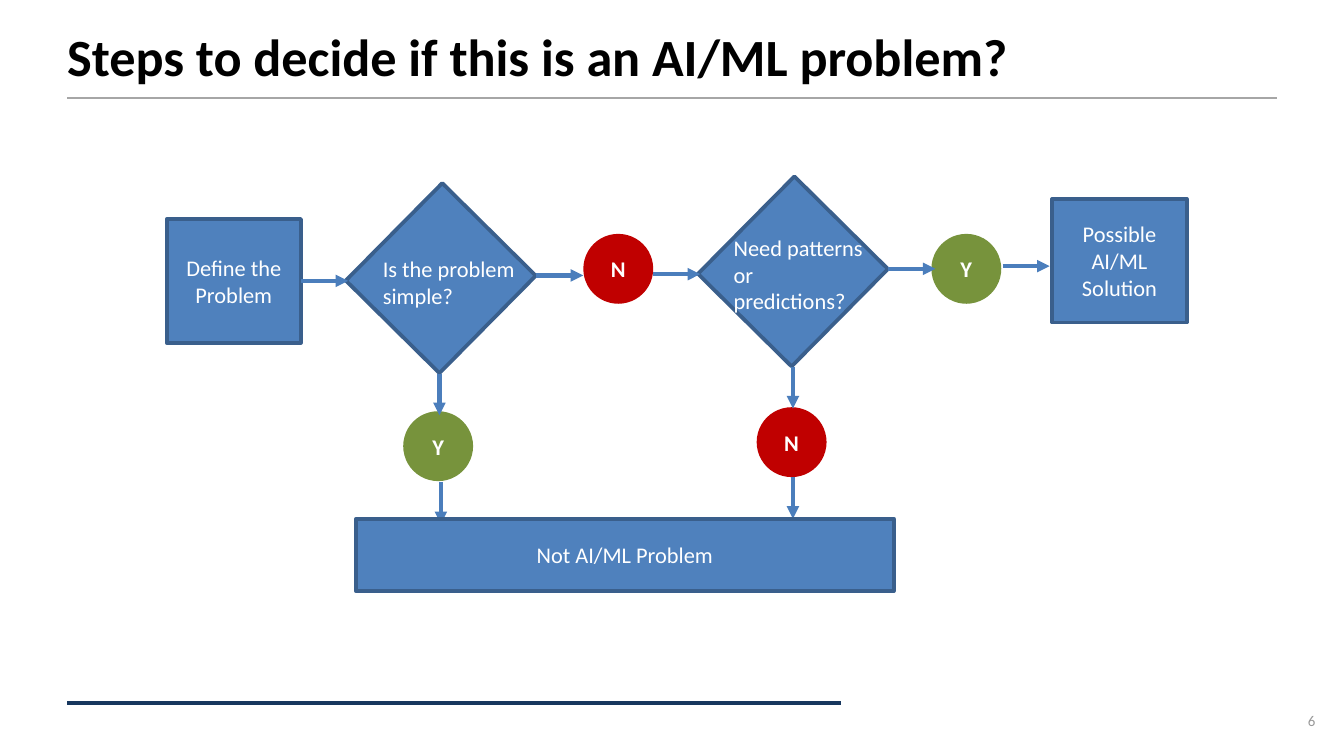
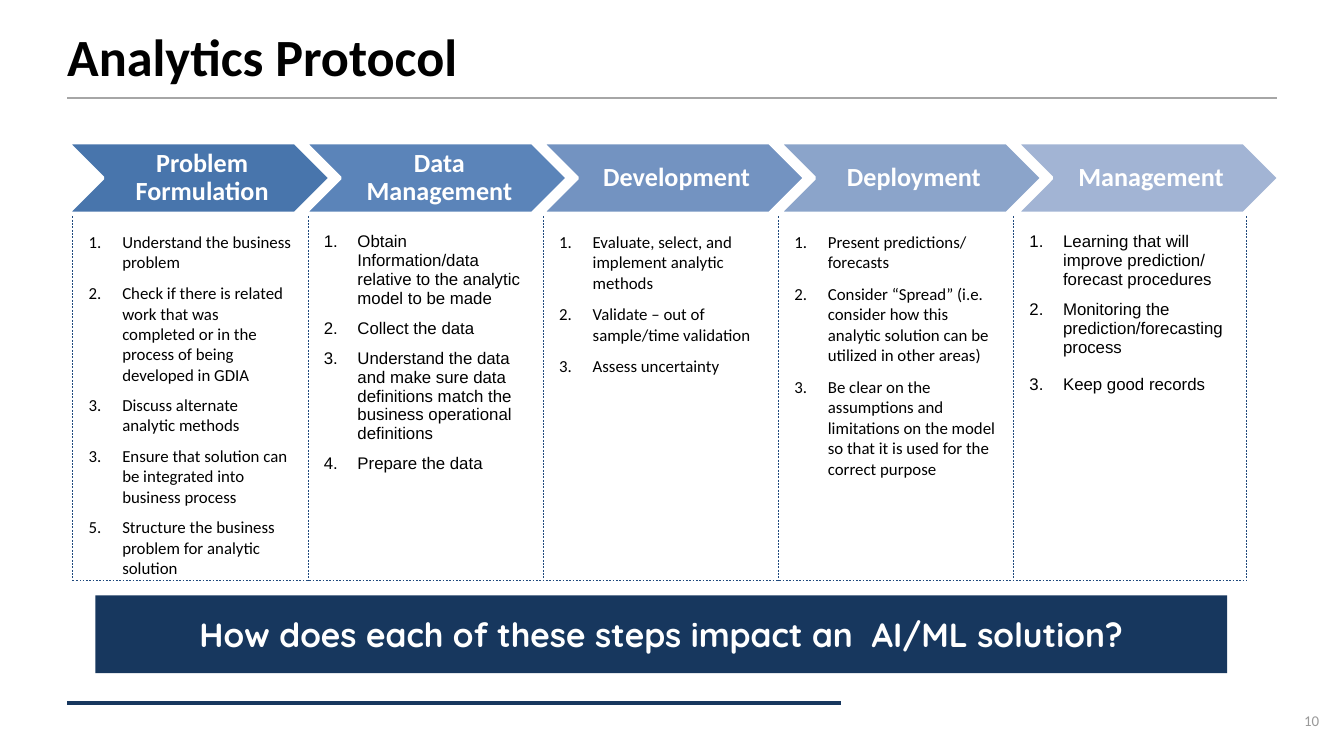
"""Build two slides: a decision flow for AI/ML problems and an analytics protocol."""
from pptx import Presentation
from pptx.dml.color import RGBColor
from pptx.enum.dml import MSO_LINE
from pptx.enum.shapes import MSO_CONNECTOR, MSO_SHAPE
from pptx.enum.text import MSO_ANCHOR, MSO_AUTO_SIZE, PP_ALIGN
from pptx.oxml.ns import qn
from pptx.util import Inches, Pt
from lxml.etree import SubElement

NAVY, WHITE, BLACK = "17375E", "FFFFFF", "000000"
BOX_FILL, BOX_EDGE, ARROW = "4F81BD", "3A5F8C", "4B7EBC"
RULE, PAGE_GREY, DIVIDER = "A6A6A6", "999999", "1F497D"
ANSWER_FILL = {"Y": "77933C", "N": "C00000"}
BODY_FONT = "Calibri"

CHEVRON_STEP = 7.06 / 4
GRID_LEFT, GRID_RIGHT, GRID_TOP, GRID_BOTTOM = 0.54, 9.27, 1.61, 4.32
COLUMN_STEP = 1.75

STAGES = [
    ("Problem Formulation", "4875AC", BODY_FONT, [
        (0.38, 1, ["Understand the business problem"]),
        (0.82, 2, ["Check if there is related work that was completed or in the "
                   "process of being developed in GDIA"]),
        (0.38, 3, ["Discuss alternate analytic methods"]),
        (0.53, 3, ["Ensure that solution can be integrated into business process"]),
        (0.68, 5, ["Structure the business problem for analytic solution"]),
        (0.23, 0, []),
        (0.23, 0, []),
    ]),
    ("Data Management", "5B84B9", "Arial", [
        (1.76, 1, ["Obtain Information/data relative to the analytic model to be made",
                   "Collect the data",
                   "Understand the data and make sure data definitions match the "
                   "business operational definitions",
                   "Prepare the data"]),
        (0.3, 0, []),
    ]),
    ("Development", "7393C1", BODY_FONT, [
        (1.45, 1, ["Evaluate, select, and  implement analytic methods",
                   "Validate – out of sample/time validation",
                   "Assess uncertainty"]),
    ]),
    ("Deployment", "8BA4CA", BODY_FONT, [
        (1.85, 1, ["Present predictions/ forecasts",
                   "Consider “Spread” (i.e. consider how this analytic solution can be "
                   "utilized in other areas)",
                   "Be clear on the assumptions and limitations on the model so that "
                   "it is used for the correct purpose"]),
    ]),
    ("Management", "A2B4D4", "Arial", [
        (1.04, 1, ["Learning that will improve prediction/ forecast procedures",
                   "Monitoring the prediction/forecasting process"]),
        (0.35, 3, ["Keep good records"]),
    ]),
]


def rgb(value):
    return RGBColor.from_string(value)


def box(*lengths):
    return [Inches(length) for length in lengths]


def style(paragraph, size, color, bold=False, font=BODY_FONT):
    paragraph.font.name = font
    paragraph.font.size = Pt(size)
    paragraph.font.bold = bold
    paragraph.font.color.rgb = rgb(color)


def set_margins(target, left, top, right, bottom):
    target.margin_left, target.margin_top = box(left, top)
    target.margin_right, target.margin_bottom = box(right, bottom)


def write(frame, text, size, color, bold=False, font=BODY_FONT,
          align=PP_ALIGN.CENTER, anchor=MSO_ANCHOR.MIDDLE):
    frame.word_wrap = True
    frame.vertical_anchor = anchor
    paragraph = frame.paragraphs[0]
    paragraph.text = text
    paragraph.alignment = align
    style(paragraph, size, color, bold, font)
    return paragraph


def add_label(slide, place, text, size, color, **options):
    frame = slide.shapes.add_textbox(*box(*place)).text_frame
    return frame, write(frame, text, size, color, **options)


def add_block(slide, kind, place, fill, edge=None):
    block = slide.shapes.add_shape(kind, *box(*place))
    block.shadow.inherit = False
    block.fill.solid()
    block.fill.fore_color.rgb = rgb(fill)
    if edge:
        block.line.color.rgb = rgb(edge)
        block.line.width = Pt(2)
    else:
        block.line.fill.background()
    return block


def add_line(slide, start, end, color, width, arrow=False, dashed=False):
    line = slide.shapes.add_connector(MSO_CONNECTOR.STRAIGHT, *box(*start, *end))
    line.line.color.rgb = rgb(color)
    line.line.width = Pt(width)
    if dashed:
        line.line.dash_style = MSO_LINE.DASH
    properties = line._element.spPr
    if arrow:
        SubElement(properties.find(qn("a:ln")), qn("a:tailEnd"), type="triangle")
    SubElement(properties, qn("a:effectLst"))


def add_framed_slide(deck, heading, number):
    slide = deck.slides.add_slide(deck.slide_layouts[5])
    title = slide.shapes.title
    title.left, title.top, title.width, title.height = box(0.5, 0.13, 9, 0.51)
    frame = title.text_frame
    frame.auto_size = MSO_AUTO_SIZE.NONE
    set_margins(frame, 0, 0.05, 0.1, 0.05)
    write(frame, heading, 28, BLACK, bold=True,
          align=PP_ALIGN.LEFT, anchor=MSO_ANCHOR.TOP)
    add_line(slide, (0.5, 0.73), (9.5, 0.73), RULE, 1)
    add_line(slide, (0.5, 5.23), (6.26, 5.23), NAVY, 2.25)
    page, _ = add_label(slide, (9.52, 5.16, 0.48, 0.4), number, 8, PAGE_GREY)
    set_margins(page, 0, 0, 0, 0)
    return slide


def add_step(slide, place, text):
    step = add_block(slide, MSO_SHAPE.RECTANGLE, place, BOX_FILL, BOX_EDGE)
    write(step.text_frame, text, 12, WHITE)


def add_decision(slide, left, top, question_place, question):
    decision = add_block(slide, MSO_SHAPE.RECTANGLE, (left, top, 0.98, 1.02),
                         BOX_FILL, BOX_EDGE)
    decision.rotation = 44.7
    add_label(slide, question_place, question, 12, WHITE,
              align=PP_ALIGN.LEFT, anchor=MSO_ANCHOR.TOP)


def add_answer(slide, left, top, letter):
    answer = add_block(slide, MSO_SHAPE.OVAL, (left, top, 0.52, 0.52),
                       ANSWER_FILL[letter])
    write(answer.text_frame, letter, 12, WHITE, bold=True)


def add_chevron(slide, index, text, fill):
    left = 0.5 + index * CHEVRON_STEP
    add_block(slide, MSO_SHAPE.CHEVRON, (left, 1.06, 1.96, 0.53), fill, WHITE)
    frame, paragraph = add_label(slide, (left + 0.27, 1.06, 1.43, 0.53),
                                 text, 14, WHITE, bold=True)
    set_margins(frame, 0.06, 0.02, 0.02, 0.02)
    paragraph.line_spacing = 0.9


def number_paragraph(paragraph, start):
    properties = paragraph._p.get_or_add_pPr()
    properties.set("marL", str(Inches(0.25)))
    properties.set("indent", str(-Inches(0.25)))
    SubElement(properties, qn("a:buFont"), typeface="+mj-lt")
    numbering = SubElement(properties, qn("a:buAutoNum"), type="arabicPeriod")
    if start > 1:
        numbering.set("startAt", str(start))


def fill_cell(cell, start, items, font):
    cell.fill.background()
    set_margins(cell, 0.07, 0.04, 0.07, 0.04)
    frame = cell.text_frame
    for position, item in enumerate(items):
        paragraph = frame.add_paragraph() if position else frame.paragraphs[0]
        paragraph.text = item
        if position:
            paragraph.space_before = Pt(6)
        number_paragraph(paragraph, start)
        style(paragraph, 9, BLACK, font=font)
    if not items:
        style(frame.paragraphs[0], 9, BLACK, font=font)


def add_activities(slide, index, rows, font):
    left = GRID_LEFT + 0.05 + index * COLUMN_STEP
    height = sum(row[0] for row in rows)
    table = slide.shapes.add_table(len(rows), 1, *box(left, 1.69, 1.66, height)).table
    table.first_row = table.horz_banding = False
    for position, (row_height, start, items) in enumerate(rows):
        table.rows[position].height = Inches(row_height)
        fill_cell(table.cell(position, 0), start, items, font)


def build_decision_flow(deck):
    slide = add_framed_slide(deck, "Steps to decide if this is an AI/ML problem?", "6")
    add_step(slide, (1.24, 1.63, 1, 0.92), "Define the Problem")
    add_decision(slide, 2.79, 1.56, (2.75, 1.85, 1.21, 0.71), "Is the problem simple?")
    add_decision(slide, 5.41, 1.51, (5.36, 1.69, 1.18, 0.71),
                 "Need patterns or predictions?")
    for left, top, letter in [(3, 3.06, "Y"), (4.34, 1.74, "N"),
                              (6.93, 1.74, "Y"), (5.63, 3.03, "N")]:
        add_answer(slide, left, top, letter)
    for x, y in [(2.24, 2.09), (3.99, 2.05), (4.86, 2.04), (6.61, 2), (7.46, 1.98)]:
        add_line(slide, (x, y), (x + 0.35, y), ARROW, 2.25, arrow=True)
    for x, y in [(3.27, 2.78), (5.9, 2.73), (3.28, 3.59), (5.9, 3.55)]:
        add_line(slide, (x, y), (x, y + 0.31), ARROW, 2.25, arrow=True)
    add_step(slide, (2.65, 3.86, 4, 0.54), "Not AI/ML Problem")
    add_step(slide, (7.83, 1.48, 1, 0.92), "Possible AI/ML Solution")


def build_protocol(deck):
    slide = add_framed_slide(deck, "Analytics Protocol", "10")
    for index in range(len(STAGES) + 1):
        x = min(GRID_LEFT + index * COLUMN_STEP, GRID_RIGHT)
        add_line(slide, (x, GRID_TOP), (x, GRID_BOTTOM), DIVIDER, 0.25, dashed=True)
    add_line(slide, (GRID_LEFT, GRID_BOTTOM), (GRID_RIGHT, GRID_BOTTOM),
             DIVIDER, 0.25, dashed=True)
    for index, (name, fill, font, rows) in enumerate(STAGES):
        add_activities(slide, index, rows, font)
        add_chevron(slide, index, name, fill)
    banner = add_block(slide, MSO_SHAPE.RECTANGLE, (0.71, 4.43, 8.42, 0.58), NAVY)
    write(banner.text_frame, "How does each of these steps impact an  AI/ML solution?",
          18, WHITE, bold=True, font="Quicksand")


def main():
    deck = Presentation()
    deck.slide_width = Inches(10)
    deck.slide_height = deck.slide_width * 9 // 16
    build_decision_flow(deck)
    build_protocol(deck)
    deck.save("out.pptx")


if __name__ == "__main__":
    main()
